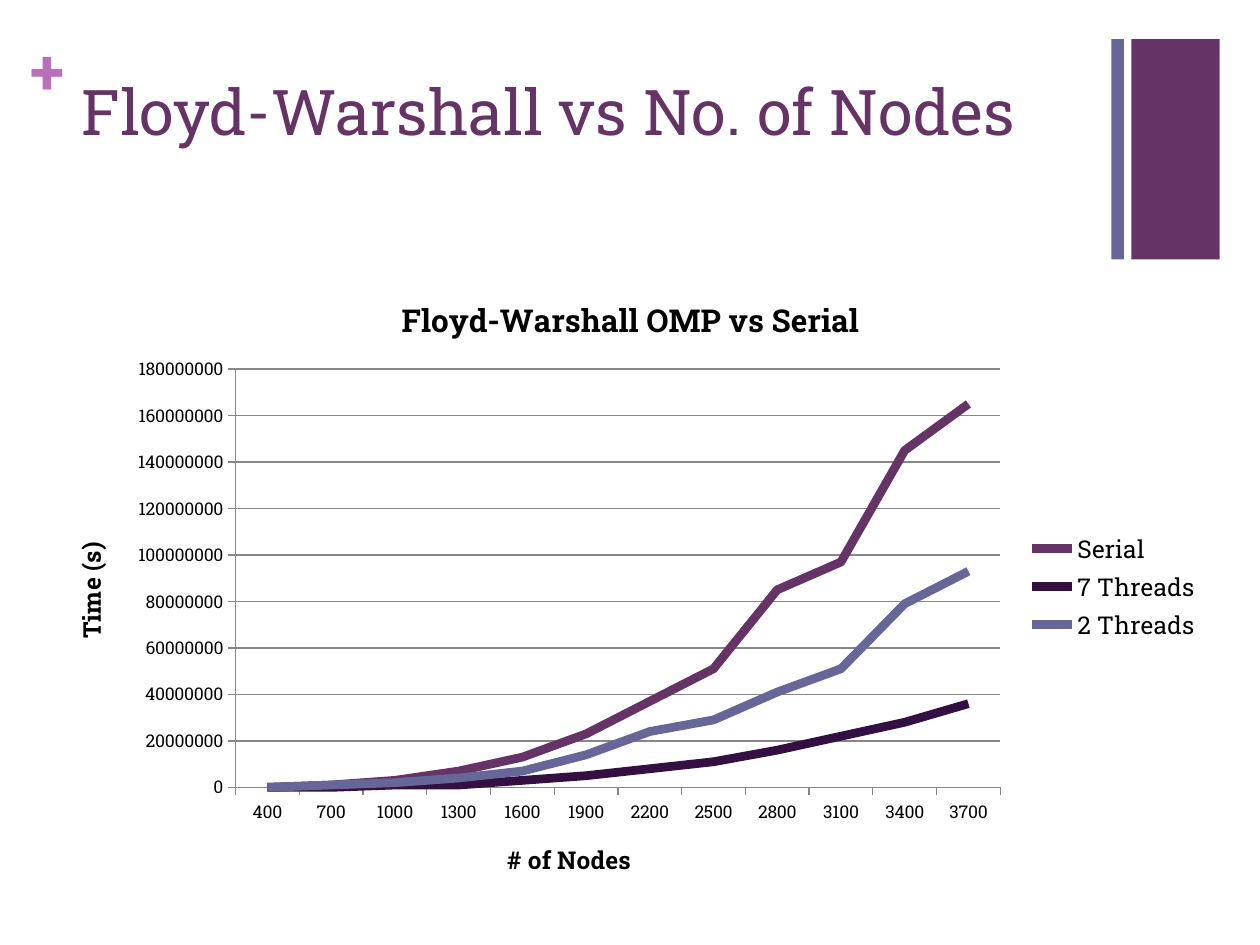
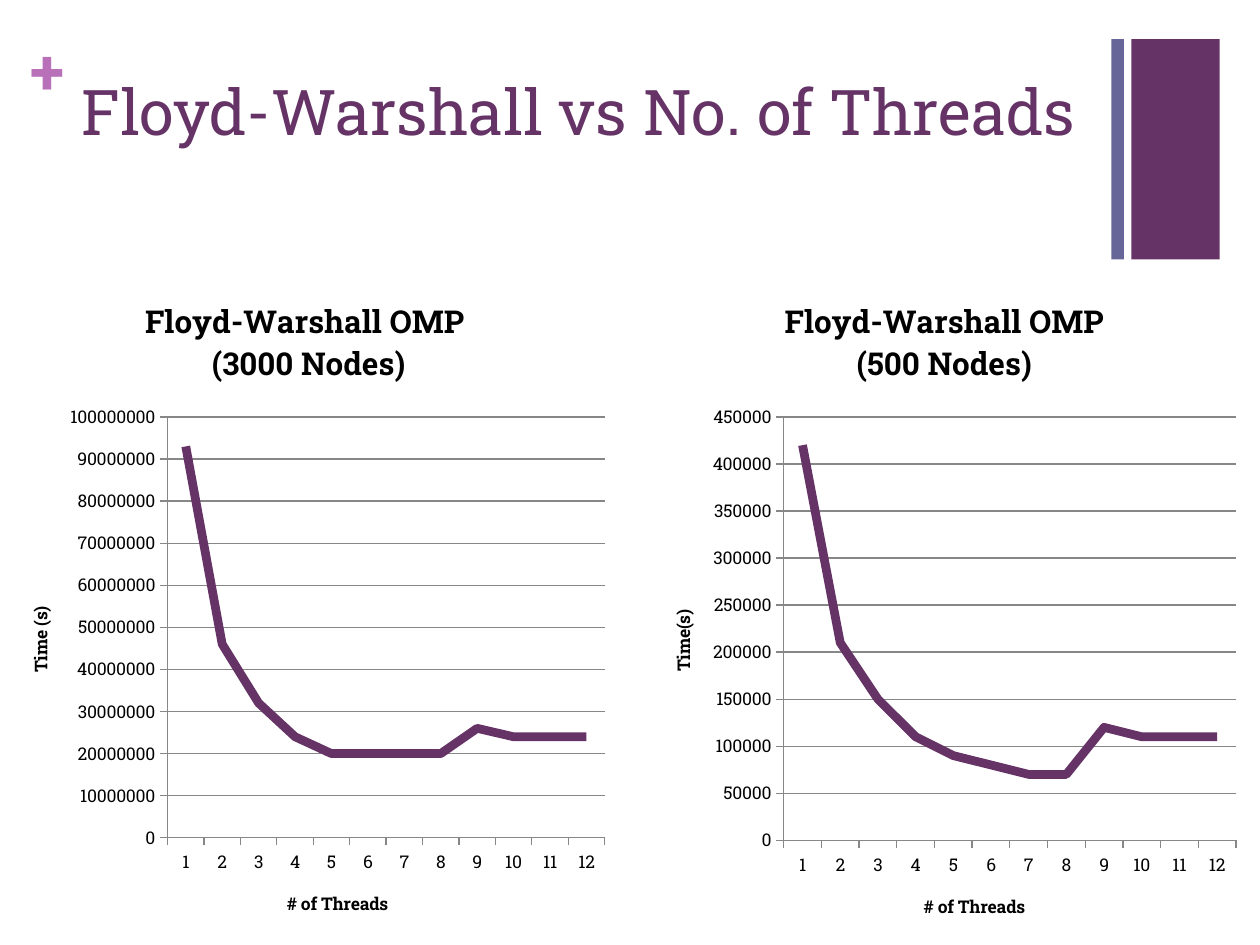
import pptx
import pptx.chart.data
import pptx.dml.color
import pptx.enum.chart
import pptx.enum.shapes
import pptx.enum.text
import pptx.oxml
import pptx.util

Inches = pptx.util.Inches
Pt = pptx.util.Pt
RGB = pptx.dml.color.RGBColor.from_string

FONT = "Roboto Slab"
COLORS = {
    "plum": "663366",
    "slate": "666699",
    "orchid": "B870B8",
    "night": "330F42",
    "text": "000000",
    "grid": "878787",
}

# Shared decoration: left, top, width, height, color
BANDS = [
    (8.98, 0.31, 0.7, 1.75, "plum"),
    (8.82, 0.31, 0.1, 1.75, "slate"),
]
THREADS = [str(count) for count in range(1, 13)]

# Values and scales are multiples of "unit".
# "plot" is the inner plot area in inches, measured from the chart's corner.
SLIDES = [
    {
        "title": "Floyd-Warshall vs No. of Nodes",
        "charts": [
            {
                "box": (0.38, 2.15, 9.25, 5.01),
                "plot": (1.49, 0.78, 6.07, 3.32),
                "title": ["Floyd-Warshall OMP vs Serial"],
                "axis_titles": ("# of Nodes", "Time (s)", 14),
                "categories": [str(nodes) for nodes in range(400, 3701, 300)],
                "unit": 1_000_000,
                "scale": (180, 20),
                "legend": True,
                "series": [
                    ("Serial", "plum", [0, 1, 3, 7, 13, 23, 37, 51, 85, 97, 145, 165]),
                    ("7 Threads", "night", [0, 0, 1, 1, 3, 5, 8, 11, 16, 22, 28, 36]),
                    ("2 Threads", "slate", [0, 1, 2, 4, 7, 14, 24, 29, 41, 51, 79, 93]),
                ],
            },
        ],
    },
    {
        "title": "Floyd-Warshall vs No. of Threads",
        "charts": [
            {
                "box": (0, 2.18, 4.9, 5.32),
                "plot": (1.33, 1.13, 3.47, 3.34),
                "title": ["Floyd-Warshall OMP ", "(3000 Nodes)"],
                "axis_titles": ("# of Threads", "Time (s)", 10),
                "categories": THREADS,
                "unit": 1_000_000,
                "scale": (100, 10),
                "legend": False,
                "series": [
                    ("Series 1", "plum", [93, 46, 32, 24, 20, 20, 20, 20, 26, 24, 24, 24]),
                ],
            },
            {
                "box": (5.09, 2.18, 4.81, 5.33),
                "plot": (1.13, 1.13, 3.59, 3.36),
                "title": ["Floyd-Warshall OMP", "(500 Nodes)"],
                "axis_titles": ("# of Threads", "Time(s)", 10),
                "categories": THREADS,
                "unit": 10_000,
                "scale": (45, 5),
                "legend": False,
                "series": [
                    ("Series 1", "plum", [42, 21, 15, 11, 9, 8, 7, 7, 12, 11, 11, 11]),
                ],
            },
        ],
    },
]


def write_lines(text_frame, lines, size, color, bold):
    """Write one paragraph with one run for each line."""
    for index, line in enumerate(lines):
        paragraph = text_frame.add_paragraph() if index else text_frame.paragraphs[0]
        run = paragraph.add_run()
        run.text = line
        run.font.name = FONT
        run.font.size = Pt(size)
        run.font.bold = bold
        run.font.color.rgb = RGB(COLORS[color])


def place_plot(chart, box, plot):
    """Fix the inner plot area of a chart."""
    plot_area = chart._chartSpace.chart.plotArea
    for old_layout in plot_area.xpath("c:layout"):
        plot_area.remove(old_layout)
    chart_width, chart_height = box[2:]
    left, top, width, height = plot
    plot_area.insert(0, pptx.oxml.parse_xml(
        '<c:layout xmlns:c="http://schemas.openxmlformats.org/drawingml/2006/chart">'
        '<c:manualLayout><c:layoutTarget val="inner"/>'
        '<c:xMode val="edge"/><c:yMode val="edge"/>'
        f'<c:x val="{left / chart_width}"/><c:y val="{top / chart_height}"/>'
        f'<c:w val="{width / chart_width}"/><c:h val="{height / chart_height}"/>'
        '</c:manualLayout></c:layout>'))


presentation = pptx.Presentation()
presentation.slide_width = Inches(10)
presentation.slide_height = Inches(7.5)

for content in SLIDES:
    slide = presentation.slides.add_slide(presentation.slide_layouts[6])

    # Bands at the top right
    for left, top, width, height, color in BANDS:
        band = slide.shapes.add_shape(
            pptx.enum.shapes.MSO_SHAPE.RECTANGLE,
            Inches(left), Inches(top), Inches(width), Inches(height))
        band.shadow.inherit = False
        band.fill.solid()
        band.fill.fore_color.rgb = RGB(COLORS[color])
        band.line.fill.background()

    # Plus sign
    plus = slide.shapes.add_textbox(Inches(0.24), Inches(0.25), Inches(0.29), Inches(0.61))
    frame = plus.text_frame
    frame.margin_left = frame.margin_right = frame.margin_top = frame.margin_bottom = 0
    write_lines(frame, ["+"], 36, "orchid", True)

    # Slide title
    title = slide.shapes.add_textbox(Inches(0.55), Inches(0.53), Inches(8.26), Inches(1.22))
    title.text_frame.word_wrap = True
    title.text_frame.vertical_anchor = pptx.enum.text.MSO_ANCHOR.TOP
    write_lines(title.text_frame, [content["title"]], 36, "plum", False)

    # Line charts
    for details in content["charts"]:
        unit = details["unit"]
        data = pptx.chart.data.CategoryChartData(number_format="0")
        data.categories = details["categories"]
        for name, _, values in details["series"]:
            data.add_series(name, [value * unit for value in values])
        chart = slide.shapes.add_chart(
            pptx.enum.chart.XL_CHART_TYPE.LINE,
            *[Inches(length) for length in details["box"]], data).chart
        chart.font.name = FONT
        chart.font.size = Pt(10)
        chart.font.color.rgb = RGB(COLORS["text"])
        chart.has_title = True
        write_lines(chart.chart_title.text_frame, details["title"], 18, "text", True)
        chart.chart_title.include_in_layout = False
        place_plot(chart, details["box"], details["plot"])

        # Series lines
        chart.plots[0].vary_by_categories = False
        for series, (_, color, _) in zip(chart.plots[0].series, details["series"]):
            series.smooth = False
            series.marker.style = pptx.enum.chart.XL_MARKER_STYLE.NONE
            series.format.line.width = Pt(5)
            series.format.line.color.rgb = RGB(COLORS[color])

        # Axes
        category_title, value_title, title_size = details["axis_titles"]
        category_axis, value_axis = chart.category_axis, chart.value_axis
        for axis, text in ((category_axis, category_title), (value_axis, value_title)):
            write_lines(axis.axis_title.text_frame, [text], title_size, "text", True)
            axis.major_tick_mark = pptx.enum.chart.XL_TICK_MARK.OUTSIDE
            axis.minor_tick_mark = pptx.enum.chart.XL_TICK_MARK.NONE
            axis.format.line.width = Pt(0.75)
            axis.format.line.color.rgb = RGB(COLORS["grid"])
        value_body = value_axis.axis_title.text_frame._txBody.bodyPr
        value_body.set("rot", "-5400000")
        value_body.set("vert", "horz")
        maximum, step = details["scale"]
        value_axis.minimum_scale = 0
        value_axis.maximum_scale = maximum * unit
        value_axis.major_unit = step * unit
        value_axis.tick_labels.number_format = "0"
        value_axis.tick_labels.number_format_is_linked = False
        value_axis.has_major_gridlines = True
        value_axis.major_gridlines.format.line.width = Pt(0.75)
        value_axis.major_gridlines.format.line.color.rgb = RGB(COLORS["grid"])

        # Legend
        chart.has_legend = details["legend"]
        if chart.has_legend:
            chart.legend.position = pptx.enum.chart.XL_LEGEND_POSITION.RIGHT
            chart.legend.include_in_layout = False
            chart.legend.font.name = FONT
            chart.legend.font.size = Pt(14)
            chart.legend.font.color.rgb = RGB(COLORS["text"])

presentation.save("out.pptx")
